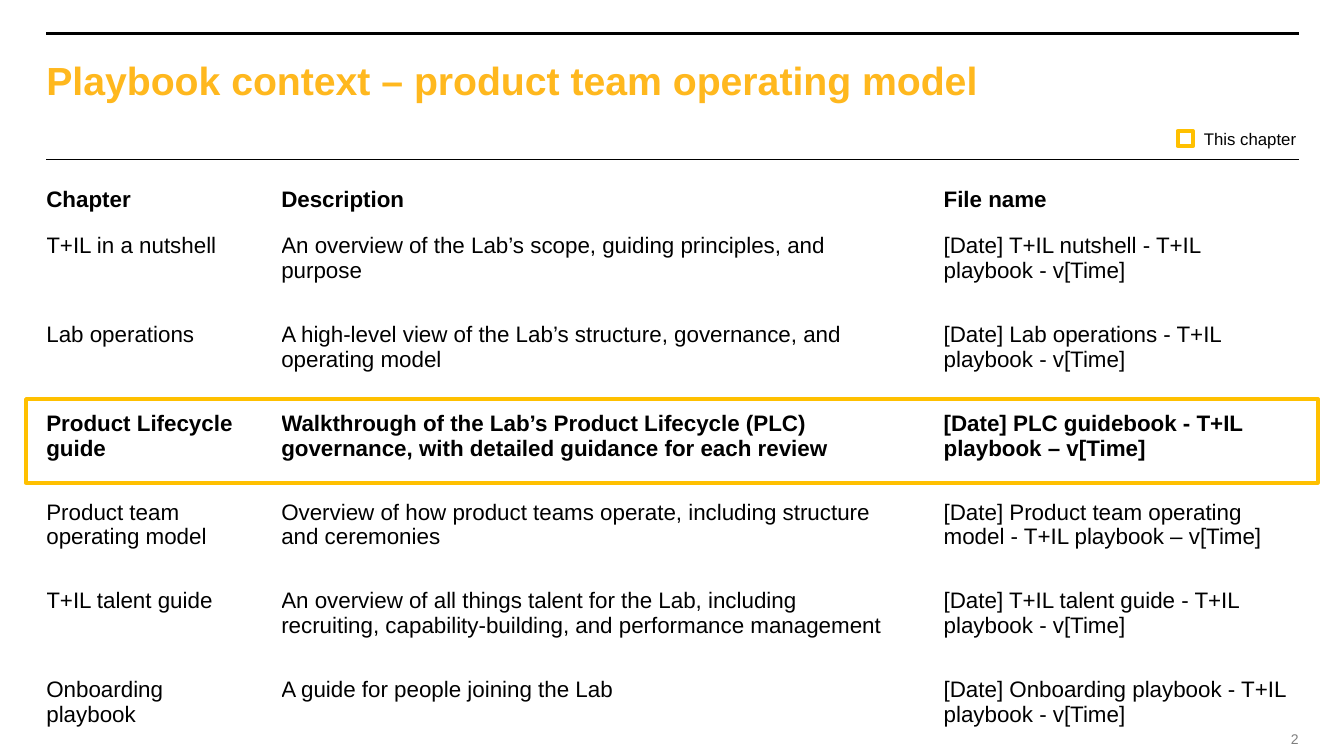
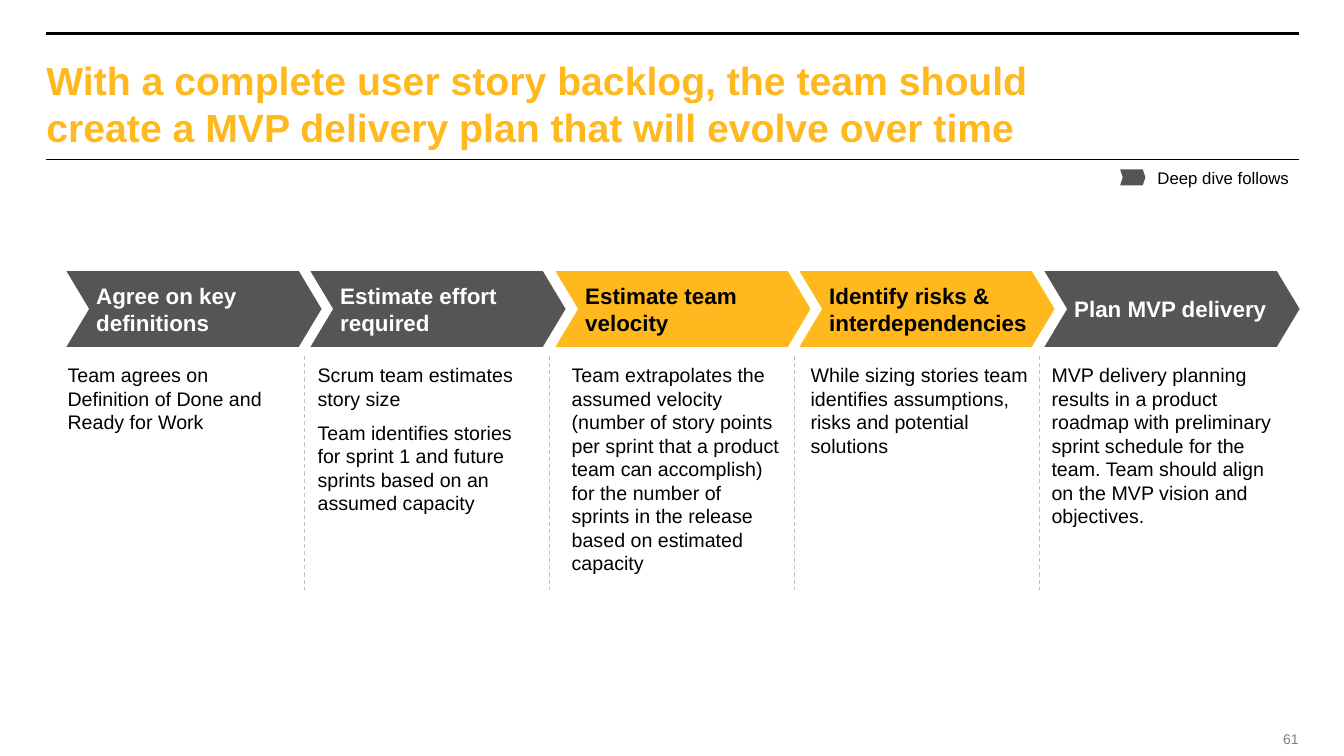
"""Build two playbook slides: the chapter overview and the MVP delivery plan steps."""
from dataclasses import dataclass

from lxml import etree
from pptx import Presentation
from pptx.dml.color import RGBColor
from pptx.enum.dml import MSO_LINE
from pptx.enum.shapes import MSO_CONNECTOR, MSO_SHAPE
from pptx.enum.text import MSO_ANCHOR, PP_ALIGN
from pptx.oxml.ns import qn
from pptx.shapes.autoshape import Shape
from pptx.slide import Slide
from pptx.text.text import TextFrame
from pptx.util import Emu, Pt

STRAIGHT = MSO_CONNECTOR.STRAIGHT
DASH = MSO_LINE.DASH
RECTANGLE = MSO_SHAPE.RECTANGLE
CHEVRON = MSO_SHAPE.CHEVRON
TOP = MSO_ANCHOR.TOP
MIDDLE = MSO_ANCHOR.MIDDLE
LEFT = PP_ALIGN.LEFT
RIGHT = PP_ALIGN.RIGHT

EMU_PER_PX = 9144
FONT = "Arial"
BLACK = "000000"
WHITE = "FFFFFF"
AMBER = "FFB81E"
GOLD = "FFC000"
CHARCOAL = "555555"
GREY = "7F7F7F"
SILVER = "BFBFBF"

MARGIN_LEFT = 46
MARGIN_RIGHT = 1288


@dataclass(frozen=True)
class Box:
    """A rectangle on the slide, in px."""
    left: int
    top: int
    width: int
    height: int


@dataclass(frozen=True)
class TextStyle:
    """The look of a piece of text."""
    size: int
    color: str = BLACK
    bold: bool = False
    align: PP_ALIGN = LEFT
    anchor: MSO_ANCHOR = TOP
    gap: float = 0


@dataclass(frozen=True)
class Column:
    """A column of the chapter table; gutter is the space kept free on its right."""
    heading: str
    width: int
    gutter: int


@dataclass(frozen=True)
class Chapter:
    """A playbook chapter."""
    name: str
    description: str
    file_name: str
    current: bool = False


@dataclass(frozen=True)
class Step:
    """A step of the delivery plan with the place of its details."""
    name: str
    details: str
    details_left: int
    details_width: int
    deep_dive: bool = True


TITLE = TextStyle(28, AMBER, bold=True)
PAGE_NUMBER = TextStyle(10, GREY, align=RIGHT, anchor=MIDDLE)
LEGEND = TextStyle(12)
CELL = TextStyle(16)
STRONG_CELL = TextStyle(16, bold=True)
DETAILS = TextStyle(14, gap=7.5)

COLUMNS = [
    Column("Chapter", 233, 27),
    Column("Description", 657, 44),
    Column("File name", 349, 0),
]
CHAPTERS = [
    Chapter("T+IL in a nutshell",
            "An overview of the Lab’s scope, guiding principles, and purpose",
            "[Date] T+IL nutshell - T+IL playbook - v[Time]"),
    Chapter("Lab operations",
            "A high-level view of the Lab’s structure, governance, and operating model",
            "[Date] Lab operations - T+IL playbook - v[Time]"),
    Chapter("Product Lifecycle guide",
            "Walkthrough of the Lab’s Product Lifecycle (PLC) governance, "
            "with detailed guidance for each review",
            "[Date] PLC guidebook - T+IL playbook – v[Time]", current=True),
    Chapter("Product team operating model",
            "Overview of how product teams operate, including structure and ceremonies",
            "[Date] Product team operating model - T+IL playbook – v[Time]"),
    Chapter("T+IL talent guide",
            "An overview of all things talent for the Lab, including recruiting, "
            "capability-building, and performance management",
            "[Date] T+IL talent guide - T+IL playbook - v[Time]"),
    Chapter("Onboarding playbook",
            "A guide for people joining the Lab",
            "[Date] Onboarding playbook - T+IL playbook - v[Time]"),
]
TABLE_TOP = 186
HEADING_HEIGHT = 46
CHAPTER_HEIGHT = 88
LAST_HEIGHT = 54

STEPS = [
    Step("Agree on key definitions",
         "Team agrees on Definition of Done and Ready for Work", 67, 224),
    Step("Estimate effort required",
         "Scrum team estimates story size\n"
         "Team identifies stories for sprint 1 and future sprints "
         "based on an assumed capacity", 315, 215),
    Step("Estimate team velocity",
         "Team extrapolates the assumed velocity (number of story points per sprint "
         "that a product team can accomplish) for the number of sprints in the release "
         "based on estimated capacity", 567, 208, deep_dive=False),
    Step("Identify risks & interdependencies",
         "While sizing stories team identifies assumptions, risks and potential solutions",
         804, 224, deep_dive=False),
    Step("Plan MVP delivery",
         "MVP delivery planning results in a product roadmap with preliminary sprint "
         "schedule for the team. Team should align on the MVP vision and objectives.",
         1043, 224),
]
DIVIDER_LEFT = 302
DIVIDER_PITCH = 243


def px(length: int) -> Emu:
    """Turn px into EMU."""
    return Emu(length * EMU_PER_PX)


def rgb(color: str) -> RGBColor:
    """Turn a hex string into a colour."""
    return RGBColor.from_string(color)


def write(frame: TextFrame, text: str, style: TextStyle) -> None:
    """Fill a text frame and format its runs."""
    frame.text = text
    for index, paragraph in enumerate(frame.paragraphs):
        paragraph.alignment = style.align
        if index and style.gap:
            paragraph.space_before = Pt(style.gap)
        for run in paragraph.runs:
            run.font.name = FONT
            run.font.size = Pt(style.size)
            run.font.bold = style.bold
            run.font.color.rgb = rgb(style.color)


def set_frame(frame: TextFrame, anchor: MSO_ANCHOR, inset: int = 0) -> None:
    """Wrap a text frame and set its anchor and left inset."""
    frame.word_wrap = True
    frame.vertical_anchor = anchor
    frame.margin_left = px(inset)
    frame.margin_top = frame.margin_right = frame.margin_bottom = 0


def add_text(slide: Slide, box: Box, text: str, style: TextStyle) -> None:
    """Add a text box without insets."""
    frame = slide.shapes.add_textbox(
        px(box.left), px(box.top), px(box.width), px(box.height)).text_frame
    set_frame(frame, style.anchor)
    write(frame, text, style)


def add_line(slide: Slide, start: tuple[int, int], end: tuple[int, int],
             color: str, weight: float, dashed: bool = False) -> None:
    """Add a straight line without shadow."""
    line = slide.shapes.add_connector(
        STRAIGHT, px(start[0]), px(start[1]), px(end[0]), px(end[1]))
    line.line.color.rgb = rgb(color)
    line.line.width = Pt(weight)
    if dashed:
        line.line.dash_style = DASH
    etree.SubElement(line._element.spPr, qn("a:effectLst"))


def add_frame(slide: Slide, box: Box) -> None:
    """Add a gold outline."""
    outline = slide.shapes.add_shape(
        RECTANGLE, px(box.left), px(box.top), px(box.width), px(box.height))
    outline.shadow.inherit = False
    outline.fill.background()
    outline.line.color.rgb = rgb(GOLD)
    outline.line.width = Pt(3)


def add_chevron(slide: Slide, box: Box, color: str, depth: float) -> Shape:
    """Add a filled chevron whose point is depth times its height."""
    chevron = slide.shapes.add_shape(
        CHEVRON, px(box.left), px(box.top), px(box.width), px(box.height))
    chevron.adjustments[0] = depth
    chevron.shadow.inherit = False
    chevron.fill.solid()
    chevron.fill.fore_color.rgb = rgb(color)
    chevron.line.fill.background()
    return chevron


def add_slide(deck: Presentation, title: str, page_number: int) -> Slide:
    """Add a slide with the shared rules, title and page number."""
    slide = deck.slides.add_slide(deck.slide_layouts[6])
    for top, weight in ((33, 2.5), (158, 1)):
        add_line(slide, (MARGIN_LEFT, top), (MARGIN_RIGHT, top), BLACK, weight)
    add_text(slide, Box(MARGIN_LEFT, 56, 1081, 94), title, TITLE)
    add_text(slide, Box(1248, 725, 40, 17), str(page_number), PAGE_NUMBER)
    return slide


def add_chapter_table(slide: Slide) -> None:
    """Add the chapter table and frame the current chapter."""
    heights = [HEADING_HEIGHT] + [CHAPTER_HEIGHT] * (len(CHAPTERS) - 1) + [LAST_HEIGHT]
    table = slide.shapes.add_table(
        len(heights), len(COLUMNS), px(MARGIN_LEFT), px(TABLE_TOP),
        px(sum(column.width for column in COLUMNS)), px(sum(heights))).table
    table.first_row = False
    table.horz_banding = False
    for row, height in zip(table.rows, heights):
        row.height = px(height)
    rows = [(tuple(column.heading for column in COLUMNS), STRONG_CELL)]
    rows += [((chapter.name, chapter.description, chapter.file_name),
              STRONG_CELL if chapter.current else CELL) for chapter in CHAPTERS]
    for column_index, column in enumerate(COLUMNS):
        table.columns[column_index].width = px(column.width)
        for row_index, (texts, style) in enumerate(rows):
            cell = table.cell(row_index, column_index)
            cell.fill.background()
            cell.margin_left = cell.margin_top = cell.margin_bottom = 0
            cell.margin_right = px(column.gutter)
            write(cell.text_frame, texts[column_index], style)
    for index, chapter in enumerate(CHAPTERS):
        if chapter.current:
            top = TABLE_TOP + HEADING_HEIGHT + index * CHAPTER_HEIGHT
            add_frame(slide, Box(26, top - 12, 1281, 83))


def build_context(deck: Presentation) -> None:
    """Build the playbook context slide."""
    slide = add_slide(deck, "Playbook context – product team operating model", 2)
    add_chapter_table(slide)
    add_frame(slide, Box(1168, 130, 15, 15))
    add_text(slide, Box(1194, 128, 101, 20), "This chapter", LEGEND)


def build_delivery_plan(deck: Presentation) -> None:
    """Build the delivery plan slide."""
    slide = add_slide(deck, "With a complete user story backlog, the team should "
                            "create a MVP delivery plan that will evolve over time", 61)
    for index, step in enumerate(STEPS):
        fill, ink = (CHARCOAL, WHITE) if step.deep_dive else (AMBER, BLACK)
        arrow = add_chevron(slide, Box(66 + 485 * index // 2, 269, 253, 75), fill, 0.3)
        set_frame(arrow.text_frame, MIDDLE, inset=7)
        write(arrow.text_frame, step.name, TextStyle(16, ink, bold=True))
        add_text(slide, Box(step.details_left, 360, step.details_width, 212),
                 step.details, DETAILS)
    for index in range(len(STEPS) - 1):
        left = DIVIDER_LEFT + index * DIVIDER_PITCH
        add_line(slide, (left, 353), (left, 585), SILVER, 0.75, dashed=True)
    add_chevron(slide, Box(1111, 168, 25, 16), CHARCOAL, 0.16)
    add_text(slide, Box(1148, 166, 185, 20), "Deep dive follows", LEGEND)


def main() -> None:
    """Build and save the deck."""
    deck = Presentation()
    deck.slide_width, deck.slide_height = px(1333), px(750)
    build_context(deck)
    build_delivery_plan(deck)
    deck.save("out.pptx")


if __name__ == "__main__":
    main()
